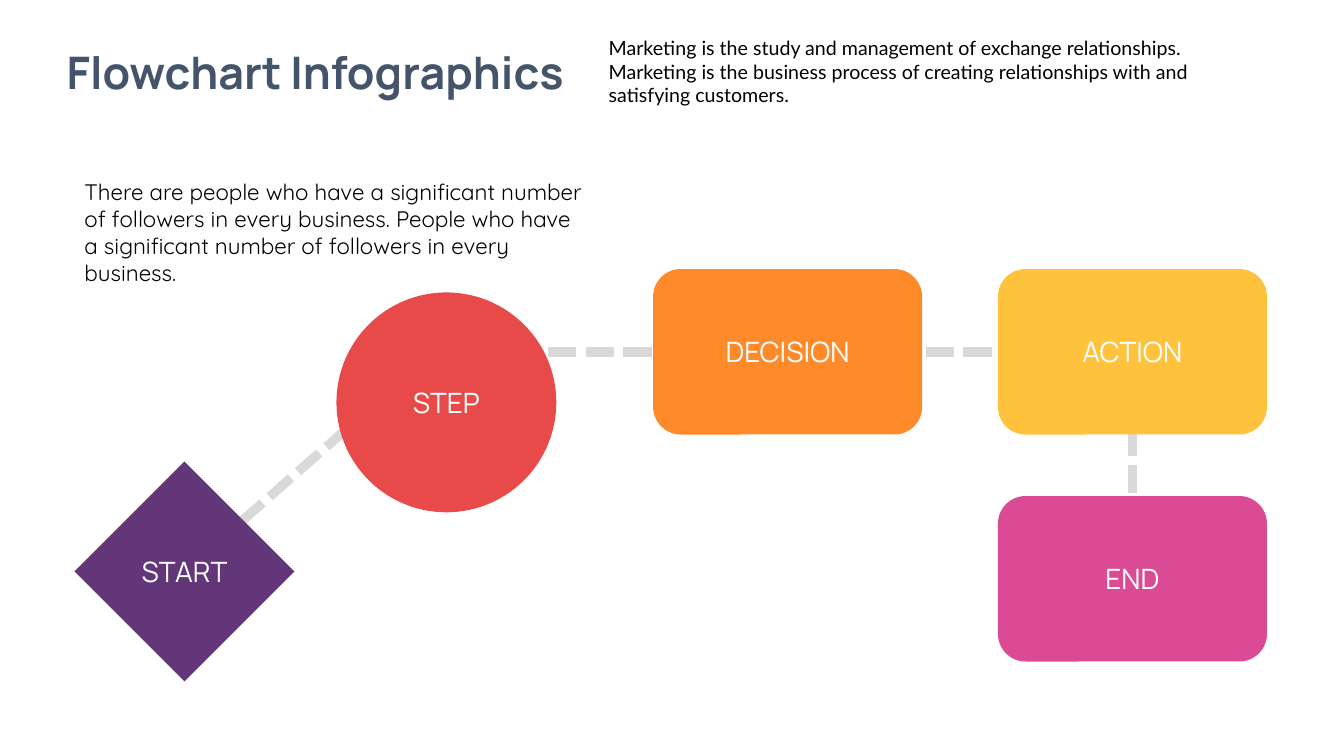
from dataclasses import dataclass

from lxml.etree import SubElement
from pptx import Presentation
from pptx.dml.color import RGBColor
from pptx.enum.dml import MSO_LINE
from pptx.enum.shapes import MSO_CONNECTOR, MSO_SHAPE
from pptx.enum.text import MSO_ANCHOR, MSO_AUTO_SIZE, PP_ALIGN
from pptx.oxml.ns import qn
from pptx.util import Cm, Pt


@dataclass(frozen=True)
class Theme:
    """Colours, fonts and type sizes of the slide."""
    heading: str = "44546A"
    body: str = "000000"
    label: str = "FFFFFF"
    route: str = "D9D9D9"
    start: str = "623678"
    step: str = "E84A4A"
    decision: str = "FF8A29"
    action: str = "FFC23D"
    end: str = "DB4B95"
    display_font: str = "Manrope"
    intro_font: str = "Lato"
    note_font: str = "Quicksand"
    heading_size: float = 32
    label_size: float = 20
    note_size: float = 16
    intro_size: float = 14
    route_width: float = 6.75


THEME = Theme()


def write(frame, words, font_name, size, color, align=PP_ALIGN.LEFT, bold=False):
    """Fill a text frame with one formatted paragraph."""
    frame.text = words
    frame.word_wrap = True
    paragraph = frame.paragraphs[0]
    paragraph.alignment = align
    font = paragraph.runs[0].font
    font.name, font.size, font.bold = font_name, Pt(size), bold
    font.color.rgb = RGBColor.from_string(color)


def add_copy(slide, box, words, *style, **options):
    """Add a text box that grows with its text."""
    frame = slide.shapes.add_textbox(*map(Cm, box)).text_frame
    write(frame, words, *style, **options)
    frame.auto_size = MSO_AUTO_SIZE.SHAPE_TO_FIT_TEXT


def add_header(slide, left, top, width):
    """Place the heading and the introduction side by side."""
    heading_width = 14.28
    add_copy(slide, (left, top + 0.2, heading_width, 1.63), "Flowchart Infographics",
             THEME.display_font, THEME.heading_size, THEME.heading,
             align=PP_ALIGN.CENTER, bold=True)
    add_copy(slide, (left + heading_width, top, width - heading_width, 2.06),
             "Marketing is the study and management of exchange relationships. "
             "Marketing is the business process of creating relationships with "
             "and satisfying customers.",
             THEME.intro_font, THEME.intro_size, THEME.body)


def add_note(slide, left, top, width, height):
    """Place the paragraph above the flowchart."""
    add_copy(slide, (left, top, width, height),
             "There are people who have a significant number of followers in "
             "every business. People who have a significant number of followers "
             "in every business.",
             THEME.note_font, THEME.note_size, THEME.body)


def add_route(slide, stops):
    """Join successive stops with dashed lines."""
    for origin, target in zip(stops, stops[1:]):
        leg = slide.shapes.add_connector(MSO_CONNECTOR.STRAIGHT,
                                         *map(Cm, origin + target))
        leg.line.color.rgb = RGBColor.from_string(THEME.route)
        leg.line.width = Pt(THEME.route_width)
        leg.line.dash_style = MSO_LINE.SQUARE_DOT
        SubElement(leg.element.spPr, qn("a:effectLst"))


def add_stage(slide, label, outline, color, box):
    """Add one labelled stage of the flowchart."""
    stage = slide.shapes.add_shape(outline, *map(Cm, box))
    stage.shadow.inherit = False
    stage.fill.solid()
    stage.fill.fore_color.rgb = RGBColor.from_string(color)
    stage.line.fill.background()
    stage.text_frame.vertical_anchor = MSO_ANCHOR.MIDDLE
    write(stage.text_frame, label, THEME.display_font, THEME.label_size,
          THEME.label, align=PP_ALIGN.CENTER)


def add_flowchart(slide, left, top, width, height):
    """Place the stages and the route that links them."""
    round_size, card_width, card_height = 5.54, 6.78, 4.17
    last_column = left + width - card_width
    end_top = top + 5.72
    start_top = top + height - round_size
    route_y = top + card_height / 2
    route_x = last_column + card_width / 2
    add_route(slide, [
        (left + round_size / 2, start_top + round_size / 2),
        (left + 9.07, route_y),
        (route_x, route_y),
        (route_x, end_top + card_height / 2),
    ])
    disc, card = (round_size, round_size), (card_width, card_height)
    stages = [
        ("START", MSO_SHAPE.DIAMOND, THEME.start, (left, start_top) + disc),
        ("STEP", MSO_SHAPE.OVAL, THEME.step, (left + 6.6, top + 0.59) + disc),
        ("DECISION", MSO_SHAPE.ROUNDED_RECTANGLE, THEME.decision,
         (left + 14.58, top) + card),
        ("ACTION", MSO_SHAPE.ROUNDED_RECTANGLE, THEME.action,
         (last_column, top) + card),
        ("END", MSO_SHAPE.ROUNDED_RECTANGLE, THEME.end,
         (last_column, end_top) + card),
    ]
    for stage in stages:
        add_stage(slide, *stage)


def main():
    """Build the flowchart slide and save it."""
    deck = Presentation()
    deck.slide_width, deck.slide_height = Cm(33.87), Cm(19.05)
    slide = deck.slides.add_slide(deck.slide_layouts[6])
    add_header(slide, 0.81, 0.79, 30.28)
    add_note(slide, 1.88, 4.37, 13.21, 3)
    add_flowchart(slide, 1.88, 6.78, 30.05, 10.39)
    deck.save("out.pptx")


if __name__ == "__main__":
    main()
